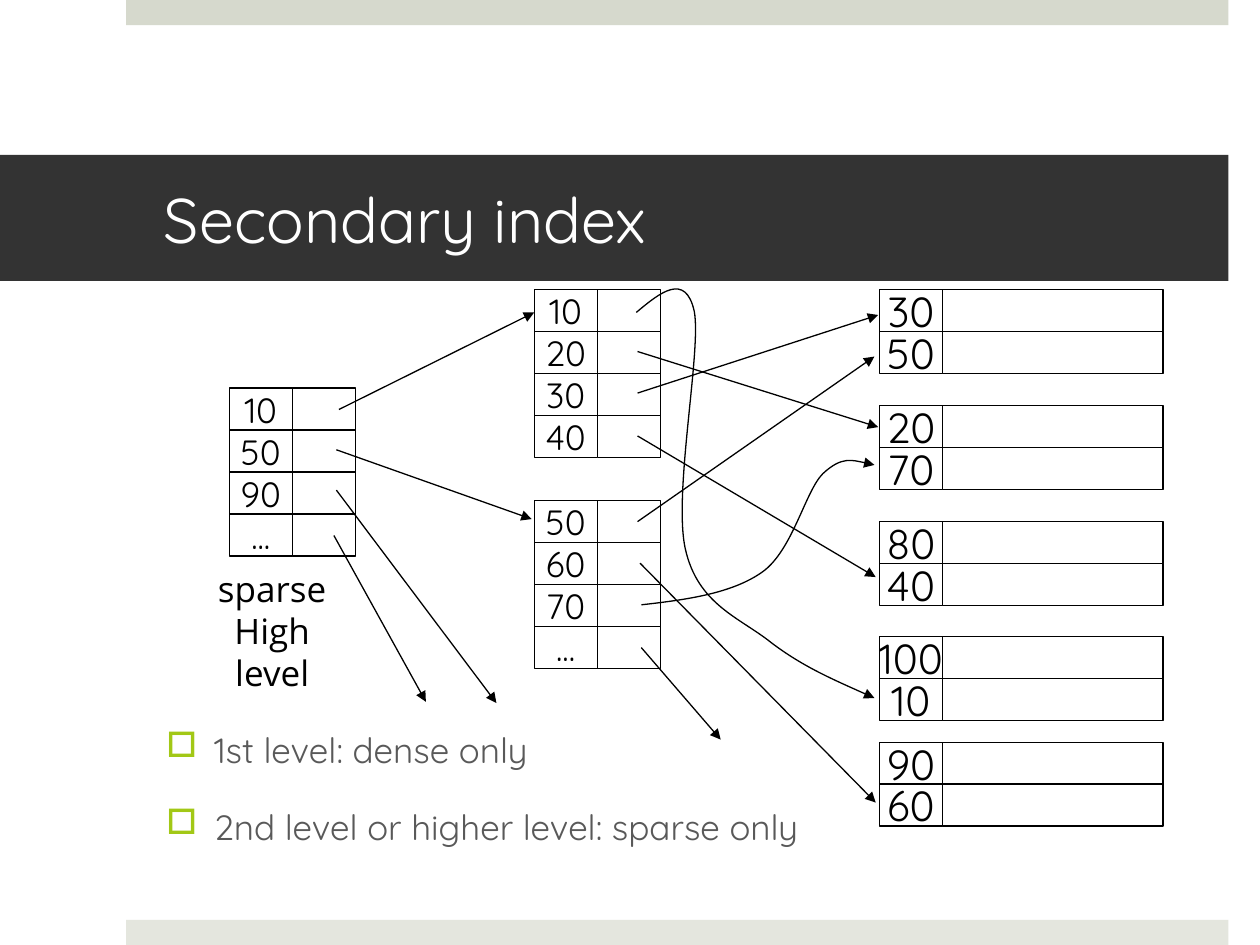
import pptx
import pptx.util
import pptx.dml.color
import pptx.enum.shapes
import pptx.enum.text
import pptx.oxml.ns
import lxml.etree

Inches, Pt = pptx.util.Inches, pptx.util.Pt
RECT = pptx.enum.shapes.MSO_SHAPE.RECTANGLE
STRAIGHT = pptx.enum.shapes.MSO_CONNECTOR.STRAIGHT
MIDDLE = pptx.enum.text.MSO_ANCHOR.MIDDLE
CENTER = pptx.enum.text.PP_ALIGN.CENTER
qn = pptx.oxml.ns.qn

# Content
TITLE = "Secondary index"
BULLETS = ["1st level: dense only", "2nd level or higher level: sparse only"]
CAPTION = ["sparse", "High level"]
BANDS = [  # left, top, width, height, colour
    (1, 0, 8.75, 0.2, "D6D9CD"),
    (1, 7.3, 8.75, 0.2, "E4E6DE"),
]
ROW = 1 / 3
KEY_WIDTH = 0.5
BLOCKS = [  # left, top, keys, width of second column, text size
    (6.98, 2.3, ["30", "50"], 1.75, 24),
    (6.98, 3.22, ["20", "70"], 1.75, 24),
    (6.98, 4.14, ["80", "40"], 1.75, 24),
    (6.98, 5.05, ["100", "10"], 1.75, 24),
    (6.98, 5.89, ["90", "60"], 1.75, 24),
    (4.24, 2.3, ["10", "20", "30", "40"], 0.5, 20),
    (4.24, 3.97, ["50", "60", "70", "..."], 0.5, 20),
    (1.82, 3.08, ["10", "50", "90", "..."], 0.5, 20),
]
ARROWS = [  # start, end
    ((5.06, 2.79), (6.97, 3.39)),
    ((5.06, 3.12), (6.97, 2.5)),
    ((5.06, 3.46), (6.95, 4.58)),
    ((5.06, 4.14), (6.94, 2.83)),
    ((5.08, 4.47), (6.95, 6.37)),
    ((5.09, 5.14), (5.72, 5.87)),
    ((2.69, 3.25), (4.24, 2.48)),
    ((2.67, 3.57), (4.22, 4.12)),
    ((2.67, 3.89), (3.94, 5.58)),
    ((2.65, 4.25), (3.38, 5.57)),
]
CURVES = [  # start, then three Bezier points per segment
    [(5.05, 2.48), (5.24, 2.32), (5.44, 2.16), (5.51, 2.47),
     (5.57, 2.78), (5.34, 3.92), (5.44, 4.36),
     (5.54, 4.8), (5.87, 4.9), (6.12, 5.1),
     (6.37, 5.29), (6.65, 5.41), (6.94, 5.54)],
    [(5.09, 4.8), (5.45, 4.76), (5.81, 4.71), (6.05, 4.54),
     (6.29, 4.37), (6.39, 3.9), (6.53, 3.76),
     (6.68, 3.62), (6.81, 3.66), (6.94, 3.69)],
]


def rgb(value):
    return pptx.dml.color.RGBColor.from_string(value)


def write(box, lines, size, color, font="Quicksand", frame_format=None, para_format=None):
    frame = box.text_frame
    for name, value in (frame_format or {}).items():
        setattr(frame, name, value)
    for index, line in enumerate(lines):
        para = frame.paragraphs[0] if index == 0 else frame.add_paragraph()
        for name, value in (para_format or {}).items():
            setattr(para, name, value)
        span = para.add_run()
        span.text = line
        for name, value in {"size": Pt(size), "name": font}.items():
            setattr(span.font, name, value)
        span.font.color.rgb = rgb(color)


def rectangle(left, top, width, height, fill, line=None):
    box = page.shapes.add_shape(RECT, Inches(left), Inches(top), Inches(width), Inches(height))
    box.shadow.inherit = False
    box.fill.solid()
    box.fill.fore_color.rgb = rgb(fill)
    if line:
        box.line.color.rgb = rgb(line)
        box.line.width = Pt(0.75)
    else:
        box.line.fill.background()
    return box


def finish_arrow(shape):
    shape.line.color.rgb = rgb("000000")
    shape.line.width = Pt(0.75)
    outline = shape.line._get_or_add_ln()
    lxml.etree.SubElement(outline, qn("a:tailEnd"), type="triangle")
    lxml.etree.SubElement(outline.getparent(), qn("a:effectLst"))


def curved_arrow(points):
    scaled = [(Inches(x), Inches(y)) for x, y in points]
    builder = page.shapes.build_freeform(*scaled[0])
    builder.add_line_segments(scaled[1:], close=False)
    curve = builder.convert_to_shape()
    curve.fill.background()
    # Each three straight segments become one Bezier segment
    segments = list(curve._element.iter(qn("a:lnTo")))
    for start in range(0, len(segments), 3):
        bezier = lxml.etree.Element(qn("a:cubicBezTo"))
        segments[start].addprevious(bezier)
        for segment in segments[start:start + 3]:
            bezier.append(segment[0])
            segment.getparent().remove(segment)
    finish_arrow(curve)


deck = pptx.Presentation()
deck.slide_width, deck.slide_height = Inches(10), Inches(7.5)
page = deck.slides.add_slide(deck.slide_layouts[6])

# Bands and title
for band in BANDS:
    rectangle(*band)
write(rectangle(0, 1.23, 9.75, 1, "333333"), [TITLE], 36, "FFFFFF",
      frame_format={"vertical_anchor": MIDDLE, "word_wrap": True,
                    "margin_left": Inches(1.3), "margin_right": Inches(0.3)},
      para_format={"alignment": pptx.enum.text.PP_ALIGN.LEFT})

# Bullets
body = page.shapes.add_textbox(Inches(1.22), Inches(5.73), Inches(8.32), Inches(1.12))
write(body, BULLETS, 20, "595959", frame_format={"word_wrap": True},
      para_format={"space_before": Pt(20)})
for para in body.text_frame.paragraphs:
    props = para._p.get_or_add_pPr()
    props.set("marL", str(Inches(0.38)))
    props.set("indent", str(-Inches(0.38)))
    color = lxml.etree.SubElement(props, qn("a:buClr"))
    lxml.etree.SubElement(color, qn("a:srgbClr"), val="A2C816")
    lxml.etree.SubElement(props, qn("a:buChar"), char="\u25a1")

# Data and index blocks
for left, top, keys, width, size in BLOCKS:
    for index, key in enumerate(keys):
        y = top + index * ROW
        cell = rectangle(left, y, KEY_WIDTH, ROW, "FFFFFF", "000000")
        write(cell, [key], size, "000000",
              frame_format={"vertical_anchor": MIDDLE, "word_wrap": False},
              para_format={"alignment": CENTER})
        rectangle(left + KEY_WIDTH, y, width, ROW, "FFFFFF", "000000")

# Pointers
for start, end in ARROWS:
    finish_arrow(page.shapes.add_connector(STRAIGHT, *[Inches(v) for v in start + end]))
for points in CURVES:
    curved_arrow(points)

# Caption under the high-level index
caption = page.shapes.add_textbox(Inches(1.45), Inches(4.62), Inches(1.42), Inches(0.77))
write(caption, CAPTION, 20, "000000", "Open Sans",
      frame_format={"vertical_anchor": MIDDLE, "word_wrap": True},
      para_format={"alignment": CENTER})

deck.save("out.pptx")
